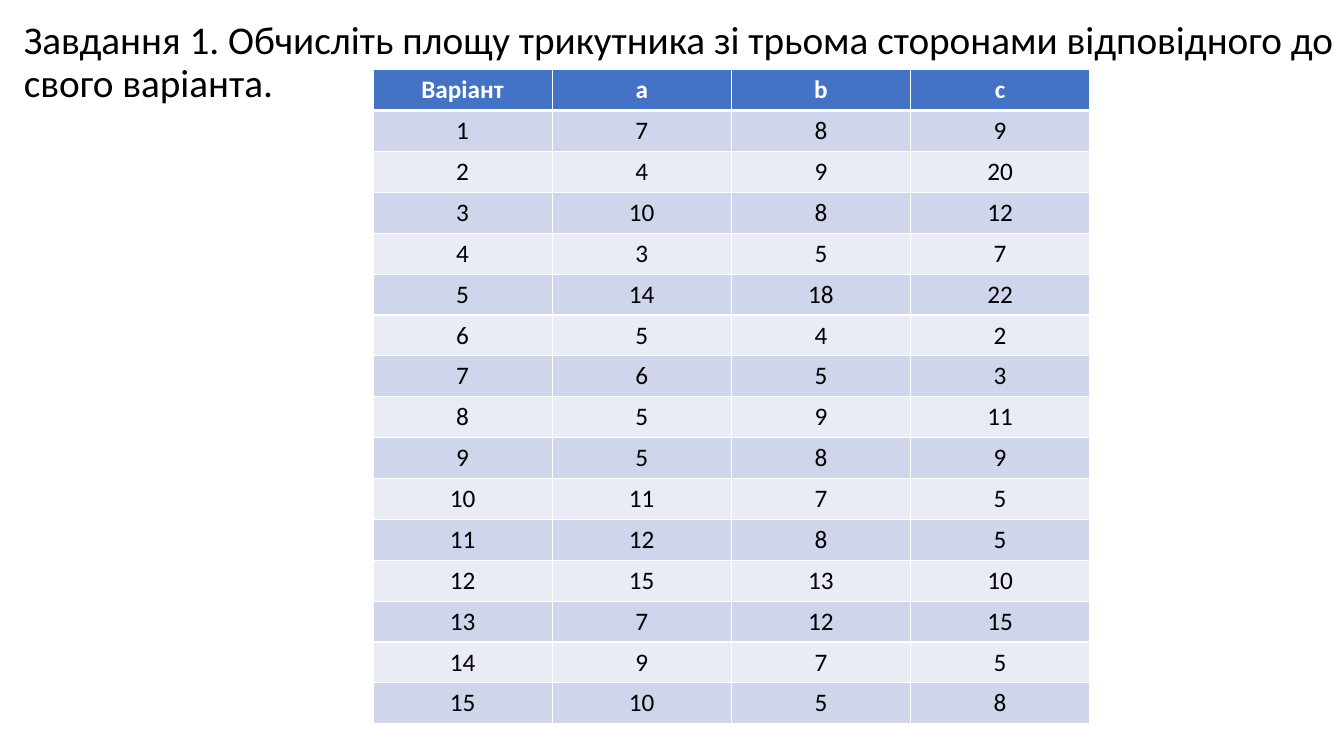
from lxml.etree import SubElement
from pptx import Presentation
from pptx.dml.color import RGBColor
from pptx.enum.text import PP_ALIGN
from pptx.oxml.ns import qn
from pptx.util import Pt

TITLE = "Завдання 1. Обчисліть площу трикутника зі трьома сторонами відповідного до свого варіанта."
HEAD = ["Варіант", "a", "b", "c"]
SIDES = [
    (7, 8, 9), (4, 9, 20), (10, 8, 12), (3, 5, 7), (14, 18, 22),
    (5, 4, 2), (6, 5, 3), (5, 9, 11), (5, 8, 9), (11, 7, 5),
    (12, 8, 5), (15, 13, 10), (7, 12, 15), (9, 7, 5), (10, 5, 8),
]


class Deck:
    """Holds the style and the current slide."""

    font = "Calibri"
    hues = {"head": "4472C4", "odd": "CFD5EA", "even": "E9EBF5",
            "white": "FFFFFF", "black": "000000"}

    def __init__(self, wide, high):
        self.prs = Presentation()
        self.prs.slide_width, self.prs.slide_height = Pt(wide), Pt(high)
        self.slide = self.prs.slides.add_slide(self.prs.slide_layouts[6])

    def hue(self, name):
        return RGBColor.from_string(self.hues[name])

    def run(self, para, text, size, hue, bold=False):
        run = para.add_run()
        run.text = text
        run.font.name, run.font.size, run.font.bold = self.font, Pt(size), bold
        run.font.color.rgb = self.hue(hue)

    def text(self, text, left, top, wide, high, size):
        frame = self.slide.shapes.add_textbox(Pt(left), Pt(top), Pt(wide), Pt(high)).text_frame
        frame.word_wrap = True
        para = frame.paragraphs[0]
        para.line_spacing, para.space_before = 0.9, Pt(10)
        self.run(para, text, size, "black")

    def edge(self, cell, side, width):
        line = SubElement(cell._tc.get_or_add_tcPr(), qn("a:ln" + side), w=str(Pt(width)))
        fill = SubElement(line, qn("a:solidFill"))
        SubElement(fill, qn("a:srgbClr"), val=self.hues["white"])

    def cell(self, cell, text, row):
        edges = {"L": 1, "R": 1, "T": 3 if row == 1 else 1, "B": 1 if row else 3}
        for side, width in edges.items():
            self.edge(cell, side, width)
        band = ("odd" if row % 2 else "even") if row else "head"
        cell.fill.solid()
        cell.fill.fore_color.rgb = self.hue(band)
        para = cell.text_frame.paragraphs[0]
        para.alignment = PP_ALIGN.CENTER
        self.run(para, text, 18, "black" if row else "white", not row)

    def table(self, rows, left, top, wide, high):
        count, cols = len(rows), len(rows[0])
        table = self.slide.shapes.add_table(
            count, cols, Pt(left), Pt(top), Pt(wide * cols), Pt(high * count)).table
        for col in table.columns:
            col.width = Pt(wide)
        for i, row in enumerate(rows):
            table.rows[i].height = Pt(high)
            for j, value in enumerate(row):
                self.cell(table.cell(i, j), str(value), i)


def main():
    deck = Deck(960, 540)
    rows = [HEAD] + [(i, *sides) for i, sides in enumerate(SIDES, 1)]
    deck.table(rows, 266.4, 49.8, 128, 29.2)
    deck.text(TITLE, 10, 11.5, 950, 460.8, 28)
    deck.prs.save("out.pptx")


if __name__ == "__main__":
    main()
